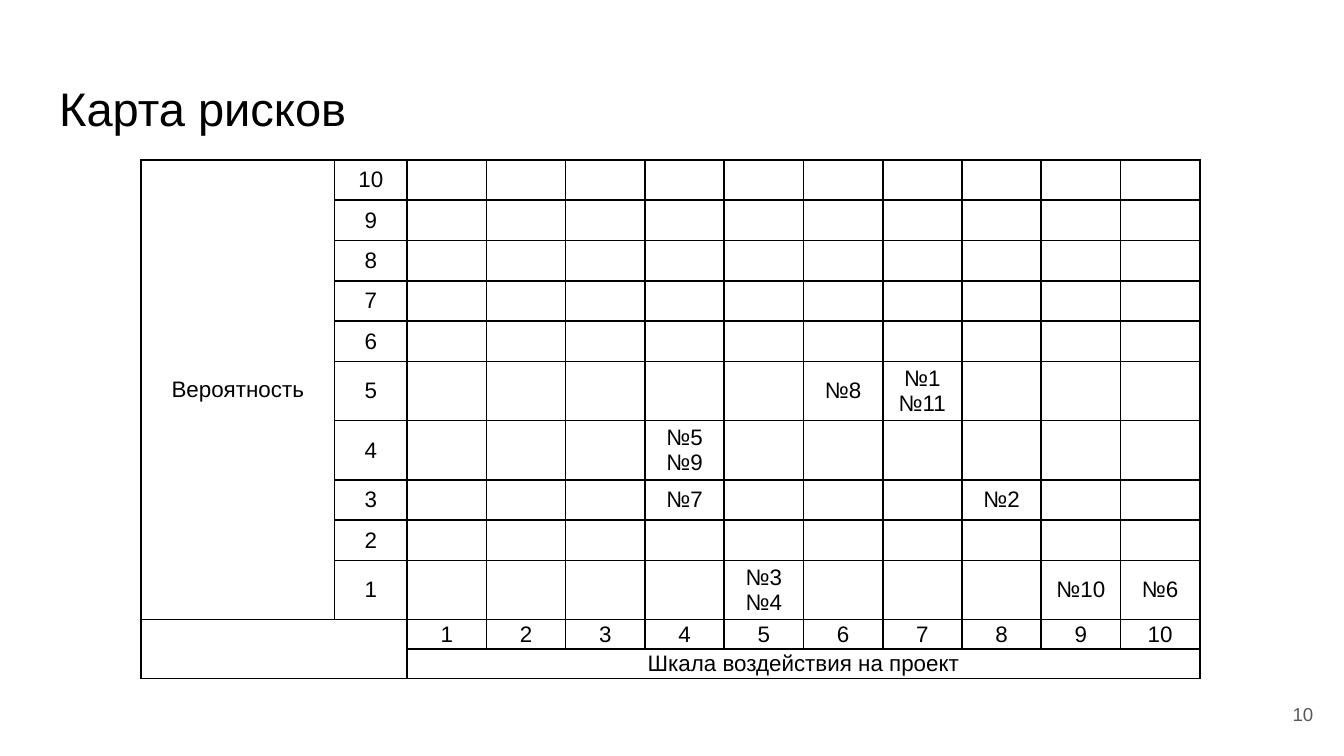
from lxml import etree
from pptx import Presentation
from pptx.dml.color import RGBColor
from pptx.enum.text import MSO_ANCHOR, MSO_AUTO_SIZE, PP_ALIGN
from pptx.oxml.ns import qn
from pptx.util import Inches, Pt

MIDDLE, TOP = MSO_ANCHOR.MIDDLE, MSO_ANCHOR.TOP
LEFT, CENTER, RIGHT = PP_ALIGN.LEFT, PP_ALIGN.CENTER, PP_ALIGN.RIGHT
NO_AUTOFIT = MSO_AUTO_SIZE.NONE
BLACK = RGBColor(0x00, 0x00, 0x00)
GREY = RGBColor(0x59, 0x59, 0x59)
FONT = "Arial"
CELL_SIZE = 12

TITLE = "Карта рисков"
PROBABILITY = "Вероятность"
IMPACT = "Шкала воздействия на проект"
PAGE = "10"
LEVELS = 10
RISKS = {
    (5, 6): ["№8"],
    (5, 7): ["№1", "№11"],
    (4, 4): ["№5", "№9"],
    (3, 4): ["№7"],
    (3, 8): ["№2"],
    (1, 5): ["№3", "№4"],
    (1, 9): ["№10"],
    (1, 10): ["№6"],
}

SLIDE_WIDTH = 10
SLIDE_HEIGHT = SLIDE_WIDTH * 9 / 16
ROW, TALL_ROW, SCALE_ROW = 0.3, 0.44, 0.22
COLUMNS = [1.44, 0.54] + [0.59] * LEVELS
TALL_LEVELS = {level for (level, _), names in RISKS.items() if len(names) > 1}
ROWS = [TALL_ROW if level in TALL_LEVELS else ROW
        for level in range(LEVELS, 0, -1)] + [SCALE_ROW] * 2


def write(frame, lines, size, color, align):
    for i, line in enumerate(lines):
        paragraph = frame.paragraphs[0] if i == 0 else frame.add_paragraph()
        paragraph.alignment = align
        run = paragraph.add_run()
        run.text = line
        run.font.name = FONT
        run.font.size = Pt(size)
        run.font.color.rgb = color


def set_frame(frame, anchor):
    frame.word_wrap = True
    frame.auto_size = NO_AUTOFIT
    frame.vertical_anchor = anchor
    frame.margin_left = frame.margin_right = Inches(0.1)
    frame.margin_top = frame.margin_bottom = Inches(0.1)


def format_cell(cell):
    cell.margin_left = cell.margin_right = Inches(0.06)
    cell.margin_top = cell.margin_bottom = 0
    cell.vertical_anchor = MIDDLE
    properties = cell._tc.get_or_add_tcPr()
    for side in ("a:lnL", "a:lnR", "a:lnT", "a:lnB"):
        line = etree.SubElement(properties, qn(side), w=str(Pt(1)))
        fill = etree.SubElement(line, qn("a:solidFill"))
        etree.SubElement(fill, qn("a:srgbClr"), val=str(BLACK))
    cell.fill.background()
    paragraph = cell.text_frame.paragraphs[0]
    etree.SubElement(paragraph._p, qn("a:endParaRPr"), sz=str(CELL_SIZE * 100))


def main():
    deck = Presentation()
    deck.slide_width = Inches(SLIDE_WIDTH)
    deck.slide_height = Inches(SLIDE_HEIGHT)
    slide = deck.slides.add_slide(deck.slide_layouts[5])

    title = slide.shapes.title
    title.left, title.top = Inches(0.34), Inches(0.49)
    title.width, title.height = Inches(9.32), Inches(0.63)
    set_frame(title.text_frame, TOP)
    write(title.text_frame, [TITLE], 25.2, BLACK, LEFT)

    risk_map = slide.shapes.add_table(
        len(ROWS), len(COLUMNS), Inches(1.05), Inches(1.19),
        Inches(sum(COLUMNS)), Inches(sum(ROWS))).table
    risk_map.first_row = risk_map.horz_banding = False
    for column, width in zip(risk_map.columns, COLUMNS):
        column.width = Inches(width)
    for row, height in zip(risk_map.rows, ROWS):
        row.height = Inches(height)
    for cell in risk_map.iter_cells():
        format_cell(cell)

    last_row, last_column = len(ROWS) - 1, len(COLUMNS) - 1
    for first, last in (
        ((0, 0), (LEVELS - 1, 0)),
        ((LEVELS, 0), (last_row, 1)),
        ((last_row, 2), (last_row, last_column)),
    ):
        risk_map.cell(*first).merge(risk_map.cell(*last))

    texts = {(0, 0): [PROBABILITY], (last_row, 2): [IMPACT]}
    for level in range(1, LEVELS + 1):
        texts[LEVELS - level, 1] = [str(level)]
        texts[LEVELS, level + 1] = [str(level)]
    for (probability, impact), names in RISKS.items():
        texts[LEVELS - probability, impact + 1] = names
    for place, lines in texts.items():
        write(risk_map.cell(*place).text_frame, lines, CELL_SIZE, BLACK, CENTER)

    page = slide.shapes.add_textbox(
        Inches(9.27), Inches(5.1), Inches(0.6), Inches(0.43))
    set_frame(page.text_frame, MIDDLE)
    write(page.text_frame, [PAGE], 10, GREY, RIGHT)

    deck.save("out.pptx")


if __name__ == "__main__":
    main()
